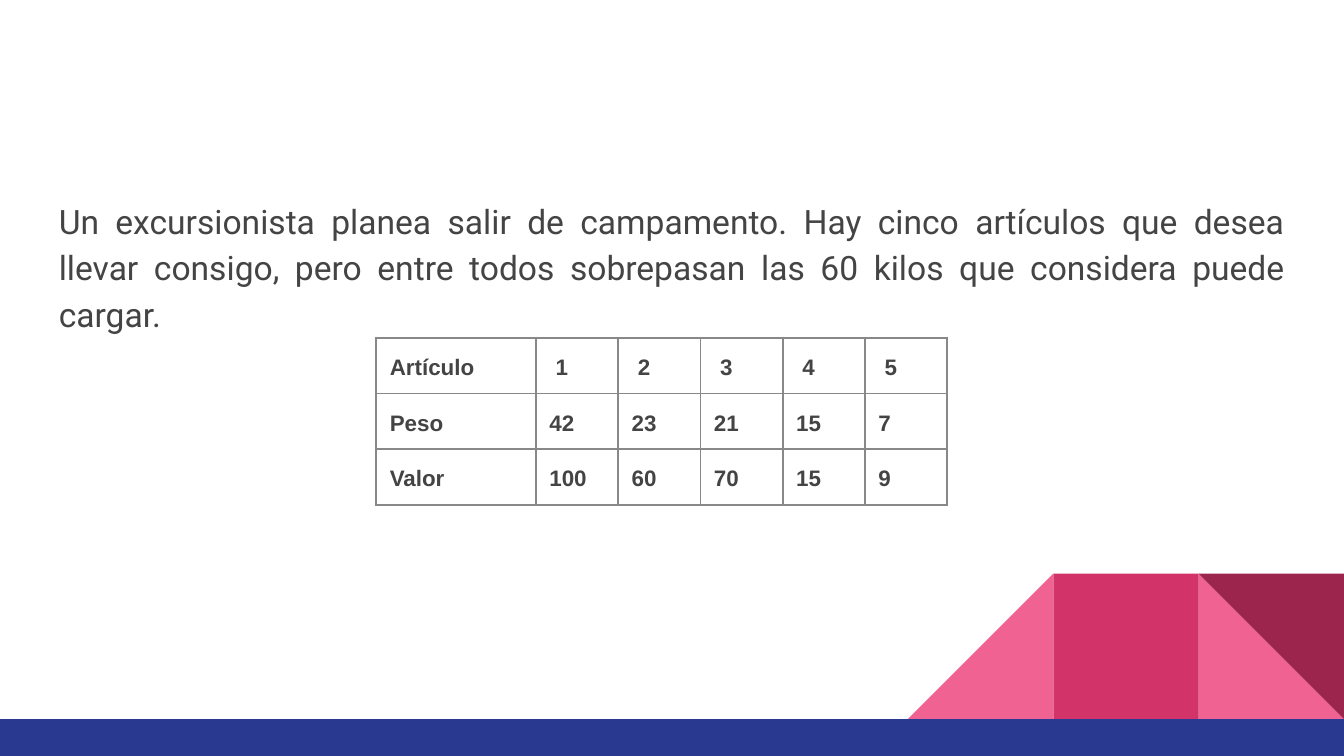
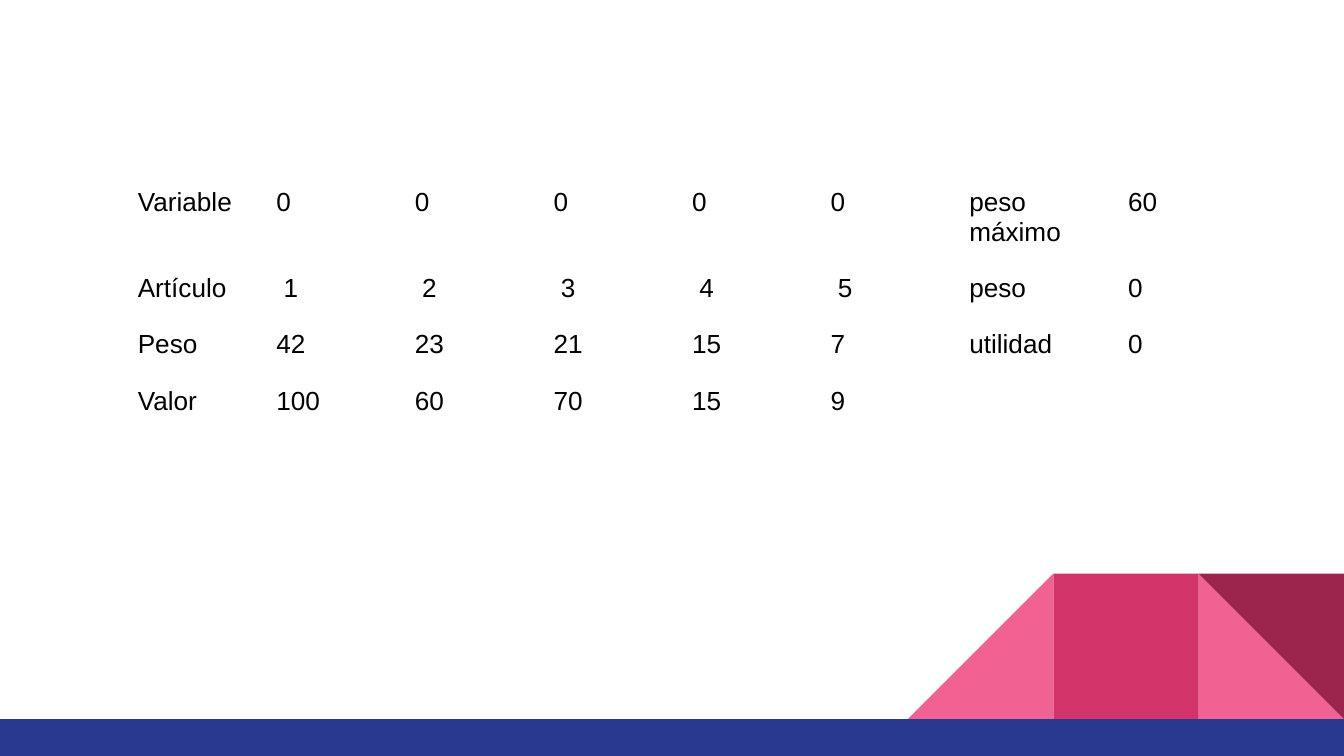
from dataclasses import dataclass
from typing import Any, Optional

import lxml.etree
import pptx
import pptx.dml.color
import pptx.enum.shapes
import pptx.enum.text
import pptx.oxml.ns
import pptx.util

RGBColor = pptx.dml.color.RGBColor
MSO_SHAPE = pptx.enum.shapes.MSO_SHAPE
qn = pptx.oxml.ns.qn

# Scale and shared measures: 160 px to the inch
EMU_PER_PX = 5715
SLIDE_W, SLIDE_H = 1600, 900
INSET = 16
TILE = 173
BAND_TOP = 856

# Colours
WHITE = RGBColor(0xFF, 0xFF, 0xFF)
BLACK = RGBColor(0x00, 0x00, 0x00)
GREY_TEXT = RGBColor(0x44, 0x44, 0x44)
GREY_RULE = RGBColor(0x88, 0x88, 0x88)
PINK = RGBColor(0xF0, 0x62, 0x92)
MAGENTA = RGBColor(0xD2, 0x33, 0x69)
WINE = RGBColor(0x9C, 0x25, 0x4D)
NAVY = RGBColor(0x2A, 0x39, 0x90)

PLAIN_TABLE_STYLE = "{2D5ABB26-0587-4C30-8999-92F81FD0307C}"


@dataclass(frozen=True)
class Ornament:
    """One piece of the band at the foot of every slide."""
    kind: Any
    left: int
    top: int
    width: int
    height: int
    fill: RGBColor
    flipped: bool = False
    rotation: int = 0


@dataclass(frozen=True)
class TextStyle:
    font: dict[str, Any]
    color: RGBColor
    line_spacing: Optional[float] = None
    highlight: Optional[RGBColor] = None


@dataclass(frozen=True)
class Grid:
    left: int
    top: int
    columns: list[int]
    rows: list[int]
    style: TextStyle
    fill: Optional[RGBColor] = None
    rule: Optional[RGBColor] = None


def tile(kind: Any, from_right: int, fill: RGBColor, **turn: Any) -> Ornament:
    return Ornament(kind, SLIDE_W - from_right * TILE, BAND_TOP - TILE,
                    TILE, TILE, fill, **turn)


FOOT = [
    tile(MSO_SHAPE.RIGHT_TRIANGLE, 1, PINK),
    tile(MSO_SHAPE.RIGHT_TRIANGLE, 3, PINK, flipped=True),
    tile(MSO_SHAPE.RECTANGLE, 2, MAGENTA),
    tile(MSO_SHAPE.RIGHT_TRIANGLE, 1, WINE, rotation=180),
    Ornament(MSO_SHAPE.RECTANGLE, 0, BAND_TOP, SLIDE_W, SLIDE_H - BAND_TOP, NAVY),
]

# Text styles
STATEMENT = TextStyle({"name": "Roboto", "size": pptx.util.Pt(18)},
                      GREY_TEXT, 1.15, WHITE)
ITEM_TEXT = TextStyle({"name": "Arial", "size": pptx.util.Pt(12), "bold": True},
                      GREY_TEXT, 1.15, WHITE)
MODEL_TEXT = TextStyle({"name": "Arial", "size": pptx.util.Pt(14)}, BLACK)

# Content
PROBLEM = ("Un excursionista planea salir de campamento. Hay cinco artículos que "
           "desea llevar consigo, pero entre todos sobrepasan las 60 kilos que "
           "considera puede cargar.")
ITEMS = [
    ["Artículo", " 1", " 2", " 3", " 4", " 5"],
    ["Peso", "42", "23", "21", "15", "7"],
    ["Valor", "100", "60", "70", "15", "9"],
]
MODEL = [
    ["Variable"] + ["0"] * 5 + ["peso máximo", "60"],
    ITEMS[0] + ["peso", "0"],
    ITEMS[1] + ["utilidad", "0"],
    ITEMS[2] + ["", ""],
]
ITEM_GRID = Grid(448, 402, [190] + [98] * 5, [66] * 3, ITEM_TEXT, WHITE, GREY_RULE)
MODEL_GRID = Grid(148, 208, [165] * 6 + [189, 141], [102, 67, 67, 69], MODEL_TEXT)


def px(length: int) -> pptx.util.Emu:
    return pptx.util.Emu(length * EMU_PER_PX)


def apply(target: Any, values: dict[str, Any]) -> None:
    for attribute, value in values.items():
        setattr(target, attribute, value)


def add_color(parent: Any, color: RGBColor) -> None:
    lxml.etree.SubElement(parent, qn("a:srgbClr"), val=str(color))


def write(paragraph: Any, text: str, style: TextStyle) -> None:
    run = paragraph.add_run()
    run.text = text
    apply(run.font, style.font)
    run.font.color.rgb = style.color
    if style.line_spacing:
        paragraph.line_spacing = style.line_spacing
    if style.highlight is not None:
        highlight = lxml.etree.Element(qn("a:highlight"))
        add_color(highlight, style.highlight)
        run.font._element.find(qn("a:solidFill")).addnext(highlight)


def add_foot(slide: Any) -> None:
    for piece in FOOT:
        shape = slide.shapes.add_shape(
            piece.kind, *map(px, (piece.left, piece.top, piece.width, piece.height)))
        shape.shadow.inherit = False
        shape.fill.solid()
        shape.fill.fore_color.rgb = piece.fill
        shape.line.fill.background()
        shape.rotation = piece.rotation
        if piece.flipped:
            shape._element.spPr.xfrm.set("flipH", "1")


def add_statement(body: Any, text: str) -> None:
    apply(body, {"left": px(54), "top": px(216), "width": px(1492), "height": px(187)})
    frame = body.text_frame
    apply(frame, {
        "word_wrap": True,
        "auto_size": pptx.enum.text.MSO_AUTO_SIZE.NONE,
        "vertical_anchor": pptx.enum.text.MSO_ANCHOR.TOP,
        **{f"margin_{side}": px(INSET) for side in ("left", "top", "right", "bottom")},
    })
    paragraph = frame.paragraphs[0]
    write(paragraph, text, STATEMENT)
    apply(paragraph, {"alignment": pptx.enum.text.PP_ALIGN.JUSTIFY,
                      "space_before": pptx.util.Pt(0)})
    # The statement is plain text: no bullet and no indent
    properties = paragraph._p.get_or_add_pPr()
    properties.set("marL", "0")
    properties.set("indent", "0")
    lxml.etree.SubElement(properties, qn("a:buNone"))


def rule_cell(cell: Any, color: RGBColor) -> None:
    properties = cell._tc.get_or_add_tcPr()
    for position, side in enumerate(("lnL", "lnR", "lnT", "lnB")):
        line = lxml.etree.Element(qn(f"a:{side}"), w=str(pptx.util.Pt(1.13)))
        add_color(lxml.etree.SubElement(line, qn("a:solidFill")), color)
        properties.insert(position, line)


def add_grid(slide: Any, grid: Grid, content: list[list[str]]) -> None:
    table = slide.shapes.add_table(
        len(grid.rows), len(grid.columns), px(grid.left), px(grid.top),
        px(sum(grid.columns)), px(sum(grid.rows))).table
    apply(table, {"first_row": False, "horz_banding": False})
    table._tbl.tblPr.find(qn("a:tableStyleId")).text = PLAIN_TABLE_STYLE
    for column, width in zip(table.columns, grid.columns):
        column.width = px(width)
    for row, height, texts in zip(table.rows, grid.rows, content):
        row.height = px(height)
        for cell, text in zip(row.cells, texts):
            apply(cell, {f"margin_{side}": px(INSET)
                         for side in ("left", "top", "right", "bottom")})
            if grid.fill is None:
                cell.fill.background()
            else:
                cell.fill.solid()
                cell.fill.fore_color.rgb = grid.fill
            if grid.rule is not None:
                rule_cell(cell, grid.rule)
            if text:
                write(cell.text_frame.paragraphs[0], text, grid.style)


def main() -> None:
    deck = pptx.Presentation()
    apply(deck, {"slide_width": px(SLIDE_W), "slide_height": px(SLIDE_H)})

    # Slide 1: the problem and its items
    problem = deck.slides.add_slide(deck.slide_layouts[1])
    heading = problem.shapes.title._element
    heading.getparent().remove(heading)
    add_foot(problem)
    add_statement(problem.placeholders[1], PROBLEM)
    add_grid(problem, ITEM_GRID, ITEMS)

    # Slide 2: the model with its variables and limit
    model = deck.slides.add_slide(deck.slide_layouts[6])
    add_foot(model)
    add_grid(model, MODEL_GRID, MODEL)

    deck.save("out.pptx")


if __name__ == "__main__":
    main()
